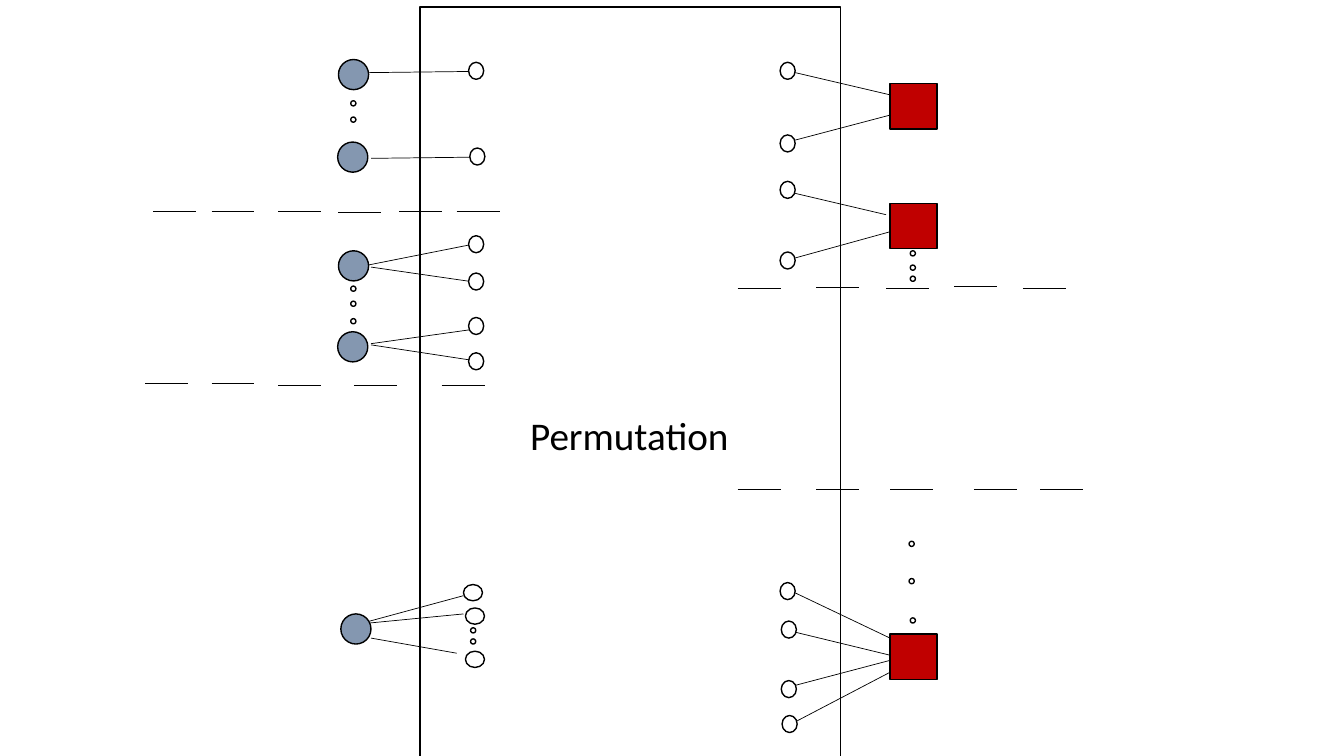
from pptx import Presentation
from pptx.dml.color import RGBColor
from pptx.enum.shapes import MSO_CONNECTOR, MSO_SHAPE
from pptx.enum.text import MSO_ANCHOR
from pptx.oxml.ns import qn
from pptx.util import Cm, Pt
from lxml import etree

BLACK = "000000"
WHITE = "FFFFFF"
BLUE = "8497B0"
RED = "C00000"
DASH_LENGTH = 1.08

presentation = Presentation()
presentation.slide_width = Cm(33.87)
presentation.slide_height = Cm(19.05)
slide = presentation.slides.add_slide(presentation.slide_layouts[6])


def add_figure(kind, left, top, width, height, fill):
    shape = slide.shapes.add_shape(kind, Cm(left), Cm(top), Cm(width), Cm(height))
    shape.shadow.inherit = False
    shape.fill.solid()
    shape.fill.fore_color.rgb = RGBColor.from_string(fill)
    shape.line.color.rgb = RGBColor.from_string(BLACK)
    shape.line.width = Pt(1)


def add_line(x1, y1, x2, y2):
    line = slide.shapes.add_connector(
        MSO_CONNECTOR.STRAIGHT, Cm(x1), Cm(y1), Cm(x2), Cm(y2))
    line.line.color.rgb = RGBColor.from_string(BLACK)
    line.line.width = Pt(0.5)
    etree.SubElement(line._element.spPr, qn("a:effectLst"))


add_figure(MSO_SHAPE.RECTANGLE, 10.59, 0.18, 10.59, 19.05, WHITE)

label = slide.shapes.add_textbox(Cm(12.88), Cm(7.16), Cm(6.1), Cm(4.52))
text_frame = label.text_frame
text_frame.word_wrap = True
text_frame.vertical_anchor = MSO_ANCHOR.BOTTOM
text_frame.margin_left = Cm(0.48)
text_frame.text = "Permutation"
font = text_frame.paragraphs[0].runs[0].font
font.name = "Calibri"
font.size = Pt(28)
font.color.rgb = RGBColor.from_string(BLACK)

dashes = [
    (3.86, 5.33), (5.33, 5.33), (7.01, 5.33), (8.53, 5.36), (10.06, 5.33), (11.51, 5.33),
    (3.66, 9.65), (5.33, 9.65), (7.01, 9.7), (8.92, 9.7), (11.13, 9.7),
    (18.59, 7.26), (20.57, 7.24), (22.33, 7.26), (24.05, 7.21), (25.78, 7.26),
    (18.59, 12.34), (20.57, 12.34), (22.43, 12.34), (24.54, 12.34), (26.21, 12.34),
]
for left, y in dashes:
    add_line(left, y, left + DASH_LENGTH, y)

variable_links = [
    (9.3, 1.83, 11.89, 1.8), (9.35, 3.99, 11.96, 3.96),
    (9.27, 6.68, 11.84, 6.17), (9.35, 6.73, 11.84, 7.09),
    (9.35, 8.66, 11.84, 8.31), (9.35, 8.69, 11.84, 9.07),
    (9.32, 15.65, 11.68, 15.01), (9.3, 15.7, 11.68, 15.47), (9.35, 16.08, 11.51, 16.46),
]
check_links = [
    (20.04, 1.83, 22.43, 2.39), (20.04, 3.53, 22.43, 2.9),
    (19.94, 4.85, 22.33, 5.41), (20.04, 6.5, 22.43, 5.84),
    (20.04, 14.94, 22.43, 16.08), (20.04, 15.93, 22.43, 16.51),
    (20.04, 17.27, 22.43, 16.64), (20.04, 18.19, 22.43, 16.94),
]
for link in variable_links + check_links:
    add_line(*link)

check_nodes = [(22.43, 2.11), (22.43, 5.13), (22.43, 15.98)]
variable_nodes = [(8.53, 1.5), (8.51, 3.58), (8.53, 6.32), (8.51, 8.36), (8.59, 15.47)]
sockets = [
    (11.81, 1.57), (11.84, 3.73), (11.81, 5.94), (11.81, 6.88), (11.81, 8), (11.81, 8.89),
    (19.66, 1.57), (19.66, 3.4), (19.66, 4.57), (19.66, 6.35),
    (19.66, 14.68), (19.69, 15.65), (19.69, 17.15), (19.71, 18.03),
]
wide_sockets = [(11.68, 14.73), (11.73, 15.32), (11.73, 16.41)]
dots = [
    (8.84, 2.54), (8.84, 2.95), (8.84, 7.21), (8.84, 7.59), (8.84, 8.03),
    (11.86, 15.82), (11.86, 16.1),
    (22.94, 6.32), (22.94, 6.68), (22.94, 6.96),
    (22.91, 13.64), (22.91, 14.58), (22.94, 15.57),
]
groups = [
    (MSO_SHAPE.RECTANGLE, check_nodes, 1.19, 1.14, RED),
    (MSO_SHAPE.OVAL, variable_nodes, 0.76, 0.76, BLUE),
    (MSO_SHAPE.OVAL, sockets, 0.38, 0.43, WHITE),
    (MSO_SHAPE.OVAL, wide_sockets, 0.48, 0.41, WHITE),
    (MSO_SHAPE.OVAL, dots, 0.13, 0.13, WHITE),
]
for kind, places, width, height, fill in groups:
    for left, top in places:
        add_figure(kind, left, top, width, height, fill)

presentation.save("out.pptx")
